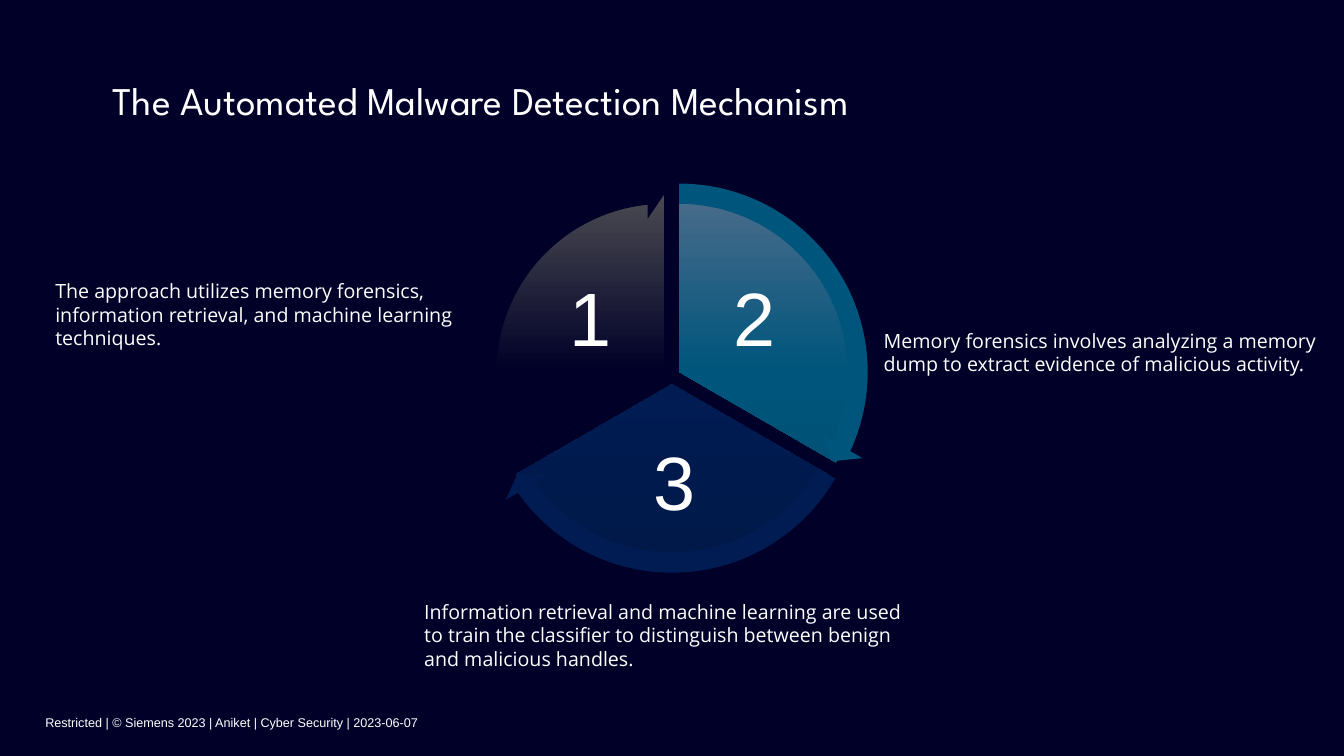
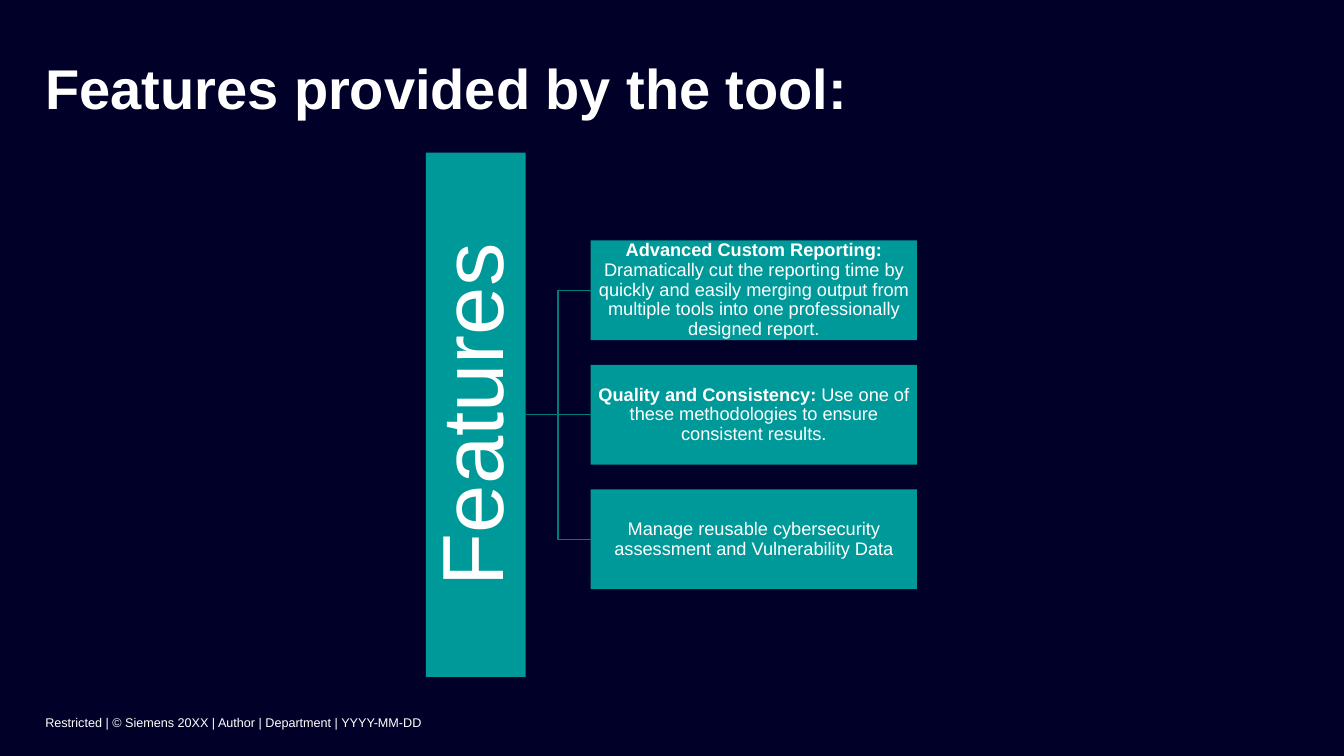
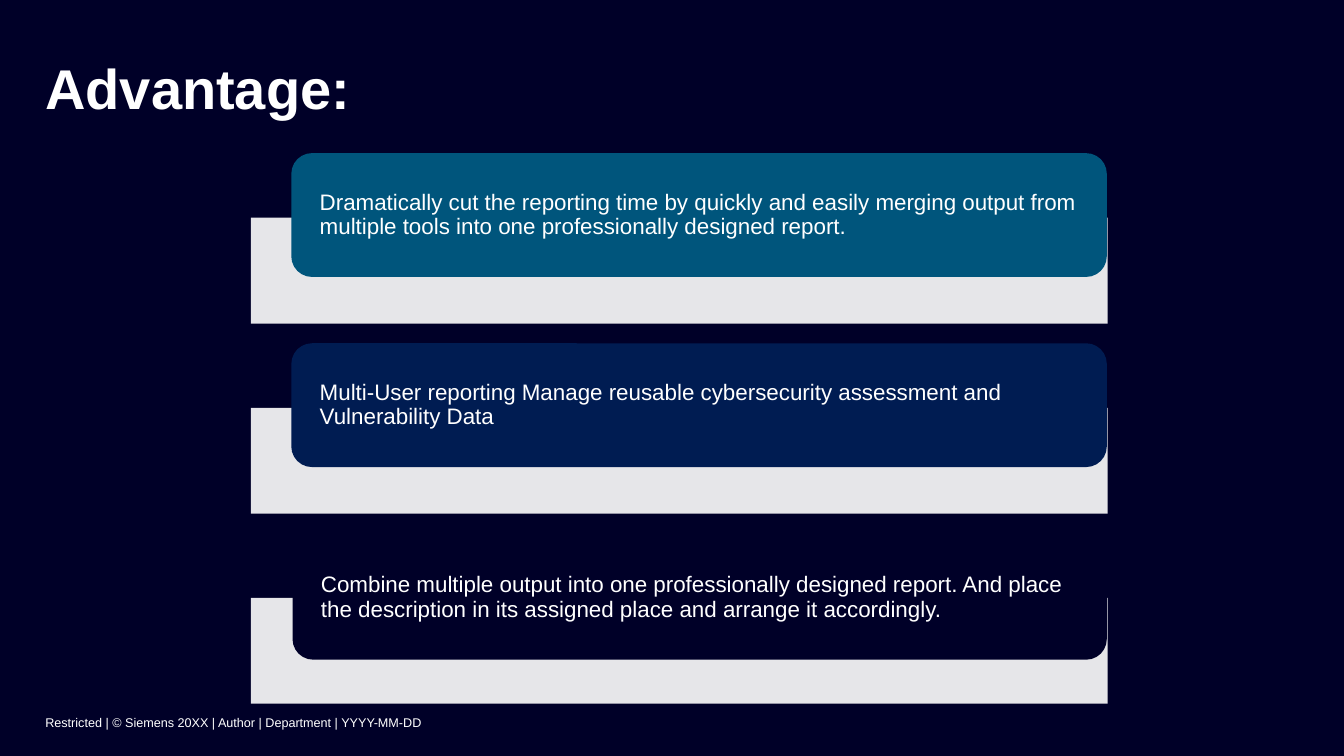
from lxml import etree
from pptx import Presentation
from pptx.dml.color import RGBColor
from pptx.enum import shapes, text
from pptx.oxml import parse_xml
from pptx.oxml.ns import nsdecls, qn
from pptx.util import Pt

INK = {
    "night": "000028", "white": "FFFFFF", "teal": "009999", "wire": "007B7B",
    "sea": "00557C", "navy": "001C52",
}
KIND = shapes.MSO_SHAPE
LINK = shapes.MSO_CONNECTOR
MID, TOP, LOW = text.MSO_ANCHOR.MIDDLE, text.MSO_ANCHOR.TOP, text.MSO_ANCHOR.BOTTOM
LEFT, CENTER = text.PP_ALIGN.LEFT, text.PP_ALIGN.CENTER
SIDES = ("left", "top", "right", "bottom")
HEAD = {"name": "Arial", "size": Pt(40), "bold": True}
NOTE = {"name": "Open Sans", "size": Pt(14)}
FOOT = "Restricted | © Siemens 20XX | Author | Department | YYYY-MM-DD"


def points(*nums):
    return [Pt(n) for n in nums]


def color(name):
    return RGBColor.from_string(INK[name])


def apply(item, values):
    for key, value in values.items():
        setattr(item, key, value)


def write(shape, runs, font, align=LEFT, anchor=MID, pad=(0, 0, 0, 0), space=None):
    frame = shape.text_frame
    apply(frame, {"word_wrap": True, "auto_size": text.MSO_AUTO_SIZE.NONE,
                  "vertical_anchor": anchor})
    apply(frame, {f"margin_{side}": Pt(gap) for side, gap in zip(SIDES, pad)})
    para = frame.paragraphs[0]
    apply(para, {"alignment": align, "line_spacing": space})
    for words, bold in runs:
        run = para.add_run()
        run.text = words
        apply(run.font, {"bold": bold, **font})
        run.font.color.rgb = color("white")


def label(slide, box, words, font, **style):
    shape = slide.shapes.add_textbox(*points(*box))
    write(shape, [(words, False)], font, **style)


def block(slide, kind, box, fill):
    shape = slide.shapes.add_shape(kind, *points(*box))
    shape.shadow.inherit = False
    shape.fill.solid()
    shape.fill.fore_color.rgb = color(fill)
    shape.line.fill.background()
    return shape


def bend(shape, values):
    for index, value in enumerate(values):
        shape.adjustments[index] = value


def fade(shape, tones):
    stops = "".join(
        f'<a:gs pos="{50000 * i}"><a:srgbClr val="{tone}"/></a:gs>'
        for i, tone in enumerate(tones))
    grad = parse_xml(
        f'<a:gradFill {nsdecls("a")} rotWithShape="1"><a:gsLst>{stops}</a:gsLst>'
        '<a:lin ang="5400000" scaled="0"/></a:gradFill>')
    props = shape._element.spPr
    props.replace(props.find(qn("a:solidFill")), grad)


def veil(shape, share):
    tone = shape._element.spPr.find(qn("a:solidFill"))[0]
    etree.SubElement(tone, qn("a:alpha")).set("val", str(share * 1000))


def join(slide, start, end, kind):
    line = slide.shapes.add_connector(kind, 0, 0, 0, 0)
    line.begin_connect(start, 3)
    line.end_connect(end, 1)
    line.line.color.rgb = color("wire")
    line.line.width = Pt(1)
    etree.SubElement(line._element.spPr, qn("a:effectLst"))


def start(deck, title, foot=FOOT, box=(32.4, 34.4, 731.5, 51.6), font=HEAD, **style):
    slide = deck.slides.add_slide(deck.slide_layouts[5])
    head = slide.shapes.title
    apply(head, dict(zip(("left", "top", "width", "height"), points(*box))))
    write(head, [(title, font.get("bold", False))], font, **{"anchor": LOW, **style})
    label(slide, (32.4, 496.8, 731.5, 43.2), foot,
          {"name": "Arial", "size": Pt(9)}, pad=(0, 0, 0, 5))
    return slide


def cycle(deck):
    pad = (7.2, 3.6, 7.2, 3.6)
    slide = start(
        deck, "The Automated Malware Detection Mechanism",
        "Restricted | © Siemens 2023 | Aniket | Cyber Security | 2023-06-07",
        (54.7, 51.1, 577.4, 41), {"name": "League Spartan", "size": Pt(28)},
        align=CENTER, anchor=TOP, pad=pad)
    notes = [
        ((32.4, 195.8, 353.5, 108), "The approach utilizes memory forensics, "
         "information retrieval, and machine learning techniques."),
        ((295.9, 424.8, 367.9, 108), "Information retrieval and machine learning are used "
         "to train the classifier to distinguish between benign and malicious handles."),
        ((624.2, 231.1, 335.5, 91.4), "Memory forensics involves analyzing a memory "
         "dump to extract evidence of malicious activity."),
    ]
    for box, words in notes:
        label(slide, box, words, NOTE, anchor=TOP, pad=pad)
    size, rim = 257.8, 15.8
    parts = [
        ("2", "sea", ("4B6C8B", "00557C", "004C6E"), (356.3, 136.8), (162, 18),
         (14.72, 161.99), (538.6, 229.7)),
        ("3", "navy", ("4B4E6A", "001C52", "001949"), (351.1, 145.6), (18, 90),
         (86.72, 18), (481.7, 347)),
        ("1", "night", ("4B4B52", "000028", "000024"), (345.8, 136.8), (90, 162),
         (158.73, 90), (421.9, 229.7)),
    ]
    for mark, fill, tones, (x, y), turn, _, (mx, my) in parts:
        wedge = block(slide, KIND.PIE, (x, y, size, size), fill)
        bend(wedge, turn)
        fade(wedge, tones)
        label(slide, (mx - 46, my - 38, 92, 76), mark,
              {"name": "Arial", "size": Pt(54)}, align=CENTER, pad=(5,) * 4, space=0.9)
    for _, fill, _, (x, y), _, sweep, _ in parts:
        full = size + 2 * rim
        arrow = block(slide, KIND.CIRCULAR_ARROW, (x - rim, y - rim, full, full), fill)
        bend(arrow, (0.05, 3.28, *sweep, 0.06))


def tree(deck):
    slide = start(deck, "Features provided by the tool:")
    thick, step = 71.3, 88.9
    root = block(slide, KIND.RECTANGLE, (304.2, 109.1, thick, 374.4), "teal")
    write(root, [("Features", False)], {"name": "Arial", "size": Pt(62)},
          align=CENTER, pad=(3,) * 4, space=0.9)
    root.text_frame._txBody.bodyPr.set("vert", "vert270")
    items = [
        [("Advanced Custom Reporting:", True),
         (" Dramatically cut the reporting time by quickly and easily merging output "
          "from multiple tools into one professionally designed report.", False)],
        [("Quality and Consistency:", True),
         (" Use one of these methodologies to ensure consistent results.", False)],
        [("Manage reusable cybersecurity assessment and Vulnerability Data", False)],
    ]
    for i, runs in enumerate(items):
        leaf = block(slide, KIND.RECTANGLE, (421.8, 171.75 + i * step, 233.2, thick), "teal")
        write(leaf, runs, {"name": "Arial", "size": Pt(13)},
              align=CENTER, pad=(0.7,) * 4, space=0.9)
        join(slide, root, leaf, LINK.STRAIGHT if i == 1 else LINK.ELBOW)


def stack(deck):
    slide = start(deck, "Advantage:")
    items = [
        ("sea", 208.1, 109.4, "Dramatically cut the reporting time by quickly and easily "
         "merging output from multiple tools into one professionally designed report."),
        ("navy", 208.1, 245.2, "Multi-User reporting Manage reusable cybersecurity "
         "assessment and Vulnerability Data"),
        ("night", 209, 382.8, "Combine multiple output into one professionally designed "
         "report. And place the description in its assigned place and arrange it accordingly."),
    ]
    for i, (fill, x, y, words) in enumerate(items):
        band = block(slide, KIND.RECTANGLE, (179.3, 155.5 + i * 135.75, 612, 75.6), "white")
        veil(band, 90)
        card = block(slide, KIND.ROUNDED_RECTANGLE, (x, y, 790.6 - x, 88.4), fill)
        write(card, [(words, False)], {"name": "Arial", "size": Pt(16)},
              pad=(16, 0, 16, 0), space=0.9)


def main():
    deck = Presentation()
    deck.slide_width, deck.slide_height = points(960, 540)
    back = deck.slide_master.background.fill
    back.solid()
    back.fore_color.rgb = color("night")
    for build in (cycle, tree, stack):
        build(deck)
    deck.save("out.pptx")


if __name__ == "__main__":
    main()
